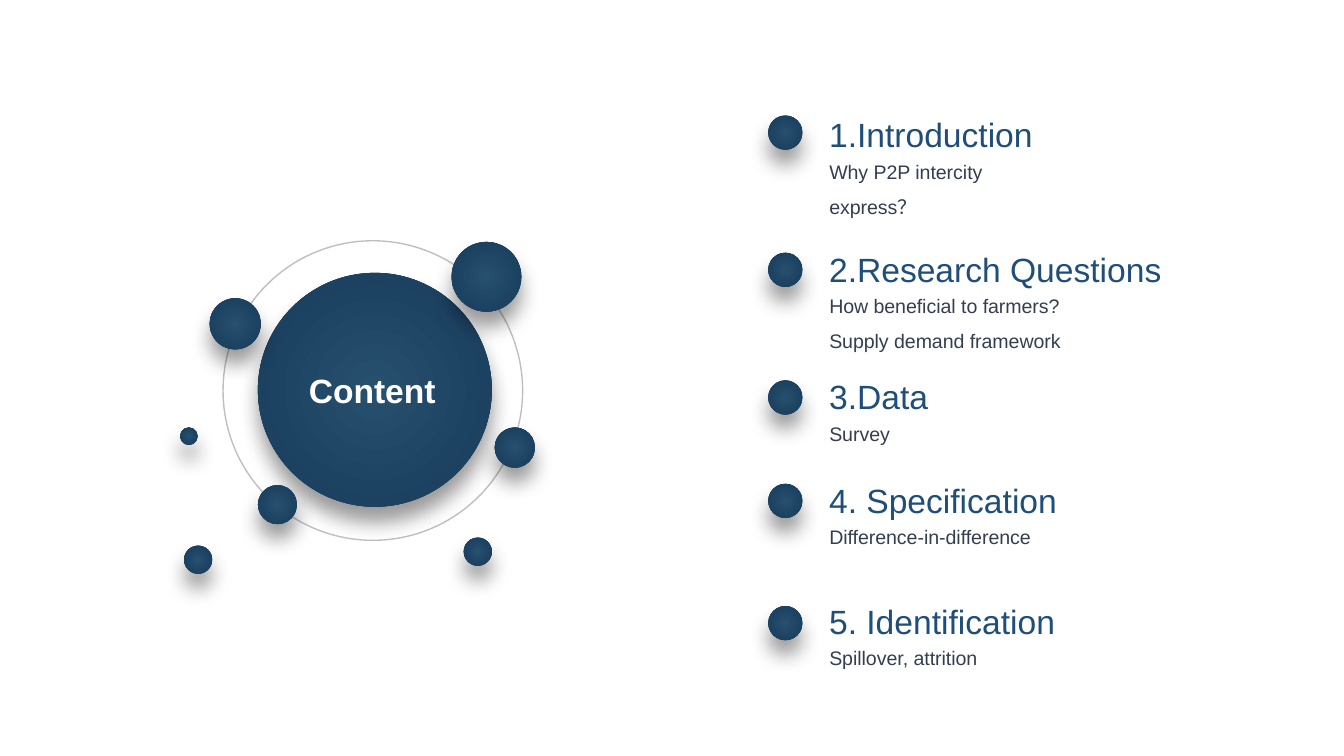
import lxml.etree
import pptx
import pptx.dml.color
import pptx.enum.shapes
import pptx.enum.text
import pptx.oxml
import pptx.util

Pt = pptx.util.Pt
NAMESPACE = 'xmlns:a="http://schemas.openxmlformats.org/drawingml/2006/main"'
GRADIENT = f"""<a:gradFill {NAMESPACE} rotWithShape="1"><a:gsLst>
<a:gs pos="0"><a:srgbClr val="27506E"/></a:gs>
<a:gs pos="100000"><a:srgbClr val="173A5B"/></a:gs></a:gsLst>
<a:path path="circle"><a:fillToRect l="50000" t="50000" r="50000" b="50000"/></a:path>
</a:gradFill>"""
SHADOW = f"""<a:outerShdw {NAMESPACE} blurRad="{Pt(11)}" dist="{Pt(8)}" dir="5400000"
algn="t" rotWithShape="0"><a:srgbClr val="000000"><a:alpha val="40000"/></a:srgbClr>
</a:outerShdw>"""

HEADING = {"size": Pt(18), "name": "Arial", "bold": False}
DETAIL = {"size": Pt(10.5), "name": "Arial"}
CENTRE = {"size": Pt(18), "name": "Arial", "bold": True}

SATELLITES = [
    (145.9, 0.6, 37.4),
    (16.3, 30.8, 27.4),
    (2.6, 163.3, 15.1),
    (42.2, 130.9, 20.9),
    (169, 100, 21.6),
    (152.4, 159, 15.1),
    (0.5, 100, 9.4),
]
SECTIONS = [
    (57.6, 4.3, 132.5, "1.Introduction", ["Why P2P intercity express？"]),
    (129.6, 5.8, 196.6, "2.Research Questions",
     ["How beneficial to farmers?", "Supply demand framework"]),
    (198, 5.8, 196.6, "3.Data", ["Survey"]),
    (253.4, 5.8, 196.6, "4. Specification", ["Difference-in-difference"]),
    (318.2, 6.5, 196.6, "5. Identification", ["Spillover, attrition"]),
]


def color(value):
    return pptx.dml.color.RGBColor.from_string(value)


def format_font(font, values, ink):
    for key, value in values.items():
        setattr(font, key, value)
    font.color.rgb = color(ink)


def add_circle(slide, left, top, diameter):
    circle = slide.shapes.add_shape(
        pptx.enum.shapes.MSO_SHAPE.OVAL, Pt(left), Pt(top), Pt(diameter), Pt(diameter))
    circle.shadow.inherit = False
    return circle


def add_ball(slide, left, top, diameter):
    ball = add_circle(slide, left, top, diameter)
    ball.line.fill.background()
    properties = ball.element.spPr
    properties.prstGeom.addnext(pptx.oxml.parse_xml(GRADIENT))
    effects = properties.find(pptx.oxml.ns.qn("a:effectLst"))
    effects.append(pptx.oxml.parse_xml(SHADOW))
    return ball


def add_text(slide, left, top, width, height, lines, values, ink, wrap, spacing):
    box = slide.shapes.add_textbox(Pt(left), Pt(top), Pt(width), Pt(height))
    frame = box.text_frame
    frame.word_wrap = wrap
    frame.text = "\n".join(lines)
    for paragraph in frame.paragraphs:
        paragraph.line_spacing = spacing
        format_font(paragraph.font, values, ink)


def add_orbit(slide, left, top):
    ring = add_circle(slide, left + 23.5, top, 160.5)
    ring.fill.background()
    ring.line.color.rgb = color("BFBFBF")
    ring.line.width = Pt(0.75)
    disc = add_ball(slide, left + 42.2, top + 17.2, 125.3)

    title = slide.shapes.title
    placement = {"left": Pt(left + 61.7), "top": Pt(top + 65.4),
                 "width": Pt(83.5), "height": Pt(28.8)}
    for key, value in placement.items():
        setattr(title, key, value)
    title.text_frame.text = "Content"
    title.text_frame.word_wrap = False
    title.text_frame.auto_size = pptx.enum.text.MSO_AUTO_SIZE.NONE
    title.text_frame.vertical_anchor = pptx.enum.text.MSO_ANCHOR.MIDDLE
    heading = title.text_frame.paragraphs[0]
    heading.alignment = pptx.enum.text.PP_ALIGN.CENTER
    format_font(heading.font, CENTRE, "FFFFFF")
    disc.element.addnext(title.element)

    for across, down, diameter in SATELLITES:
        add_ball(slide, left + across, top + down, diameter)


def add_section(slide, left, top, ball_drop, width, heading, details):
    add_ball(slide, left, top + ball_drop, 18.3)
    add_text(slide, left + 25.5, top, 196.6, 28.8, [heading], HEADING, "1F4E79", False, 1.0)
    add_text(slide, left + 25.6, top + 18, width, 5 + 19 * len(details), details,
             DETAIL, "333F50", True, 1.5)


def main():
    deck = pptx.Presentation()
    deck.slide_width, deck.slide_height = Pt(720), Pt(405)
    slide = deck.slides.add_slide(deck.slide_layouts.get_by_name("Title Only"))
    add_orbit(slide, 96, 129)
    for top, ball_drop, width, heading, details in SECTIONS:
        add_section(slide, 411.6, top, ball_drop, width, heading, details)
    deck.save("out.pptx")


if __name__ == "__main__":
    main()
